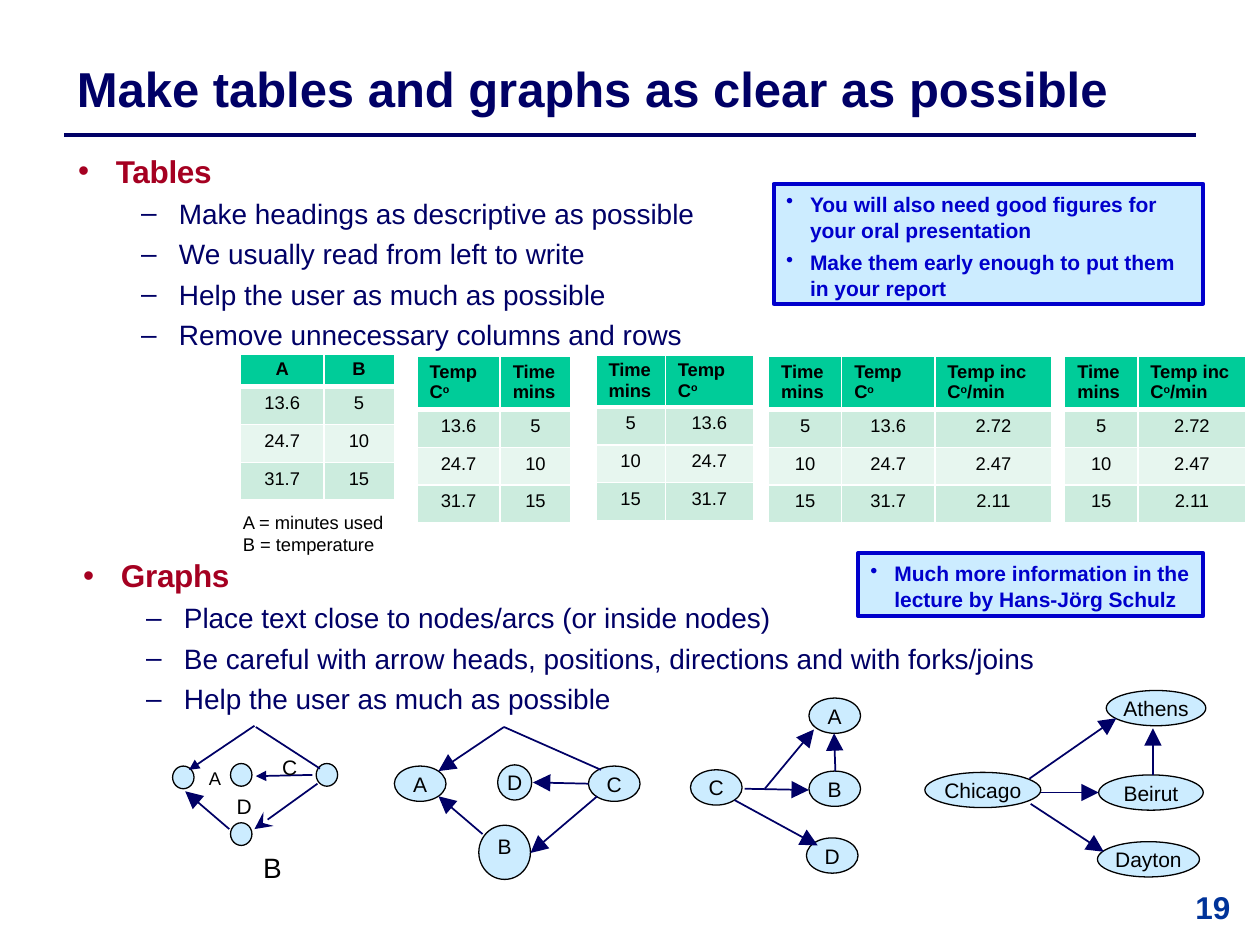
from lxml import etree
from pptx import Presentation
from pptx.dml.color import RGBColor
from pptx.enum.shapes import MSO_CONNECTOR, MSO_SHAPE
from pptx.enum.text import MSO_ANCHOR, MSO_AUTO_SIZE, PP_ALIGN
from pptx.oxml.ns import qn
from pptx.util import Inches, Pt

LEFT, CENTER = PP_ALIGN.LEFT, PP_ALIGN.CENTER
TOP, MIDDLE = MSO_ANCHOR.TOP, MSO_ANCHOR.MIDDLE
STRAIGHT, ELLIPSE, RECT = MSO_CONNECTOR.STRAIGHT, MSO_SHAPE.OVAL, MSO_SHAPE.RECTANGLE
NAVY, RED, BLUE, PALE, BLACK, WHITE = "000066", "A50021", "0000CC", "CCECFF", "000000", "FFFFFF"
HEAD_FILL, BAND_FILLS = "00CC99", ("CCECDE", "E7F6EF")

# ---- Content ----
TITLE = "Make tables and graphs as clear as possible"
SECTIONS = [
    ((0.52, 1.14, 5.35, 1.64), "Tables", [
        "Make headings as descriptive as possible",
        "We usually read from left to write",
        "Help the user as much as possible",
        "Remove unnecessary columns and rows"]),
    ((0.56, 4.35, 8.64, 1.32), "Graphs", [
        "Place text close to nodes/arcs (or inside nodes)",
        "Be careful with arrow heads, positions, directions and with forks/joins",
        "Help the user as much as possible"]),
]
CALLOUTS = [
    ((6.14, 1.46, 3.41, 0.95), ["You will also need good figures for your oral presentation",
                                "Make them early enough to put them in your report"]),
    ((6.81, 4.39, 2.74, 0.5), ["Much more information in the lecture by Hans-Jörg Schulz"]),
]
# Headings are (text, superscript, text after it)
TIME_HEAD = ("Time\nmins", "", "")
TEMP_HEAD = ("Temp\nC", "o", "")
RATE_HEAD = ("Temp inc\nC", "o", "/min")
TIMES = ["5", "10", "15"]
TEMPS = ["13.6", "24.7", "31.7"]
RATES = ["2.72", "2.47", "2.11"]
# (left, top, heading height, heading alignment, [(heading, values, width)])
TABLES = [
    (1.91, 2.81, 0.26, CENTER, [(("A", "", ""), TEMPS, 0.66), (("B", "", ""), TIMES, 0.56)]),
    (3.31, 2.83, 0.42, LEFT, [(TEMP_HEAD, TEMPS, 0.66), (TIME_HEAD, TIMES, 0.56)]),
    (4.73, 2.82, 0.41, LEFT, [(TIME_HEAD, TIMES, 0.55), (TEMP_HEAD, TEMPS, 0.7)]),
    (6.1, 2.83, 0.42, LEFT, [(TIME_HEAD, TIMES, 0.58), (TEMP_HEAD, TEMPS, 0.74),
                             (RATE_HEAD, RATES, 0.93)]),
    (8.45, 2.83, 0.42, LEFT, [(TIME_HEAD, TIMES, 0.58), (RATE_HEAD, RATES, 0.86)]),
]
ROW_H = 0.3
# Nodes: (label, left, top, width, height)
DOT, OVAL = (0.17, 0.18), (0.41, 0.28)
NODES = [
    ("", 1.37, 6.08, *DOT), ("", 1.83, 6.06, *DOT), ("", 2.51, 6.06, *DOT), ("", 1.83, 6.53, *DOT),
    ("A", 3.13, 6.08, *OVAL), ("D", 3.95, 6.07, 0.27, 0.28),
    ("C", 4.67, 6.08, *OVAL), ("B", 3.8, 6.55, 0.41, 0.43),
    ("A", 6.42, 5.54, *OVAL), ("B", 6.42, 6.12, *OVAL),
    ("C", 5.48, 6.11, *OVAL), ("D", 6.4, 6.65, *OVAL),
    ("Athens", 8.78, 5.48, 0.79, 0.28), ("Beirut", 8.72, 6.15, 0.83, 0.28),
    ("Chicago", 7.34, 6.13, 0.92, 0.28), ("Dayton", 8.71, 6.68, 0.81, 0.28),
]
# Arcs: (x1, y1, x2, y2, arrowhead)
BIG, SMALL, STEALTH = ("triangle", "lg"), ("triangle", "med"), ("stealth", "lg")
ARCS = [
    (2.48, 6.15, 2.03, 6.16, SMALL), (2.52, 6.22, 2.02, 6.58, STEALTH),
    (2.02, 5.76, 1.5, 6.11, SMALL), (2.54, 6.1, 2.03, 5.77, None), (1.82, 6.58, 1.47, 6.28, BIG),
    (4, 5.77, 3.48, 6.12, BIG), (4.67, 6.22, 4.23, 6.21, BIG), (4.74, 6.32, 4.21, 6.77, BIG),
    (3.83, 6.62, 3.48, 6.32, BIG), (4.77, 6.11, 4, 5.77, None),
    (5.91, 6.26, 6.42, 6.27, BIG), (5.83, 6.35, 6.49, 6.71, BIG),
    (6.63, 6.12, 6.62, 5.82, BIG), (6.07, 6.26, 6.46, 5.79, BIG),
    (8.26, 6.29, 8.72, 6.29, BIG), (8.18, 6.38, 8.76, 6.76, BIG),
    (9.15, 6.15, 9.15, 5.78, BIG), (8.17, 6.18, 8.86, 5.7, BIG),
]
# Loose text: (lines, box, size, colour, bold, alignment)
LABELS = [
    (["A = minutes used", "B = temperature"], (1.83, 4.01, 1.38, 0.47), 10.5, BLACK, False, LEFT),
    (["A"], (1.56, 6.04, 0.33, 0.29), 10.5, BLACK, False, LEFT),
    (["B"], (1.99, 6.7, 0.33, 0.37), 16, BLACK, False, LEFT),
    (["C"], (2.14, 5.94, 0.33, 0.3), 12, BLACK, False, LEFT),
    (["D"], (1.78, 6.25, 0.37, 0.3), 12, BLACK, False, LEFT),
    (["19"], (9.25, 7, 0.75, 0.5), 18, "003399", True, CENTER),
]


# ---- Helpers ----
def rgb(color):
    return RGBColor.from_string(color)


def add_run(para, text, size, color, bold=False, **attributes):
    for i, line in enumerate(text.split("\n")):
        if i:
            para.add_line_break()
        run = para.add_run()
        run.text = line
        for key, value in dict(name="Arial", size=Pt(size), bold=bold).items():
            setattr(run.font, key, value)
        run.font.color.rgb = rgb(color)
        for key, value in attributes.items():
            run.font._element.set(key, value)


def paragraphs(frame, count):
    return [frame.paragraphs[0]] + [frame.add_paragraph() for _ in range(count - 1)]


def set_bullet(para, char, indent, hanging):
    para.line_spacing, para.space_before = 1.05, Pt(3)
    props = para._p.get_or_add_pPr()
    props.set("marL", str(Inches(indent)))
    props.set("indent", str(-Inches(hanging)))
    etree.SubElement(props, qn("a:buChar"), char=char)


def set_frame(frame, anchor=TOP):
    for key, value in dict(word_wrap=True, auto_size=MSO_AUTO_SIZE.NONE,
                           vertical_anchor=anchor).items():
        setattr(frame, key, value)
    return frame


def place(shape, box):
    shape.left, shape.top, shape.width, shape.height = map(Inches, box)


def add_box(kind, box, line_color, line_width):
    shape = slide.shapes.add_shape(kind, *map(Inches, box))
    shape.shadow.inherit = False
    shape.fill.solid()
    shape.fill.fore_color.rgb = rgb(PALE)
    shape.line.color.rgb = rgb(line_color)
    shape.line.width = Pt(line_width)
    return set_frame(shape.text_frame)


def add_line(x1, y1, x2, y2, width, head=None):
    line = slide.shapes.add_connector(STRAIGHT, *map(Inches, (x1, y1, x2, y2)))
    line.line.color.rgb = rgb(NAVY)
    line.line.width = Pt(width)
    if head:
        kind, size = head
        etree.SubElement(line.line._get_or_add_ln(), qn("a:tailEnd"), type=kind, w=size, len=size)
    etree.SubElement(line._element.spPr, qn("a:effectLst"))


def format_cell(cell, fill, margin, top, bottom):
    cell.fill.solid()
    cell.fill.fore_color.rgb = rgb(fill)
    cell.margin_top = cell.margin_bottom = Inches(margin)
    props = cell._tc.get_or_add_tcPr()
    for i, (side, width) in enumerate([("L", 1), ("R", 1), ("T", top), ("B", bottom)]):
        border = etree.Element(qn(f"a:ln{side}"), w=str(Pt(width)))
        paint = etree.SubElement(border, qn("a:solidFill"))
        etree.SubElement(paint, qn("a:srgbClr"), val=WHITE)
        props.insert(i, border)


def add_data_table(left, top, head_h, head_align, columns):
    size = (sum(c[2] for c in columns), head_h + ROW_H * len(TIMES))
    table = slide.shapes.add_table(len(TIMES) + 1, len(columns),
                                   *map(Inches, (left, top, *size))).table
    for r, row in enumerate(table.rows):
        row.height = Inches(ROW_H if r else head_h)
    for c, (heading, values, width) in enumerate(columns):
        table.columns[c].width = Inches(width)
        head = table.cell(0, c)
        format_cell(head, HEAD_FILL, 0.04, 1, 3)
        para = head.text_frame.paragraphs[0]
        para.alignment = head_align
        for text, raised in zip(heading, ({}, {"baseline": "30000"}, {})):
            if text:
                add_run(para, text, 10.5, BLACK, True, **raised)
        for r, value in enumerate(values, 1):
            cell = table.cell(r, c)
            format_cell(cell, BAND_FILLS[(r - 1) % 2], 0.05, 3 if r == 1 else 1, 1)
            para = cell.text_frame.paragraphs[0]
            para.alignment = CENTER
            add_run(para, value, 10.5, BLACK)


# ---- Slide, title and lists ----
prs = Presentation()
prs.slide_width, prs.slide_height = Inches(10), Inches(7.5)
slide = prs.slides.add_slide(prs.slide_layouts[3])
title, *bodies = slide.placeholders
add_line(0.51, 1.07, 9.49, 1.07, 2)
place(title, (0.51, 0.36, 9.37, 0.67))
title_para = set_frame(title.text_frame, MIDDLE).paragraphs[0]
title_para.alignment = LEFT
add_run(title_para, TITLE, 28, NAVY, True)
for body, (box, heading, points) in zip(bodies, SECTIONS):
    place(body, box)
    first, *rest = paragraphs(set_frame(body.text_frame), len(points) + 1)
    set_bullet(first, "•", 0.3, 0.3)
    add_run(first, heading, 18, RED, True, spc="-20")
    for para, point in zip(rest, points):
        para.level = 1
        set_bullet(para, "–", 0.8, 0.3)
        add_run(para, point, 16, NAVY)

# ---- Tables ----
for data_table in TABLES:
    add_data_table(*data_table)

# ---- Graphs ----
for label, *box in NODES:
    node = add_box(ELLIPSE, box, BLACK, 0.75)
    node.margin_left = node.margin_right = node.margin_top = node.margin_bottom = 0
    if label:
        node.paragraphs[0].alignment = CENTER
        add_run(node.paragraphs[0], label, 12, BLACK)
for *ends, head in ARCS:
    add_line(*ends, 1, head)

# ---- Labels and callouts ----
for lines, box, size, color, bold, align in LABELS:
    frame = set_frame(slide.shapes.add_textbox(*map(Inches, box)).text_frame)
    for para, line in zip(paragraphs(frame, len(lines)), lines):
        para.alignment = align
        add_run(para, line, size, color, bold)
for box, points in CALLOUTS:
    frame = add_box(RECT, box, BLUE, 2.25)
    for para, point in zip(paragraphs(frame, len(points)), points):
        para.alignment = LEFT
        set_bullet(para, "•", 0.19, 0.19)
        add_run(para, point, 12, BLUE, True)

prs.save("out.pptx")
